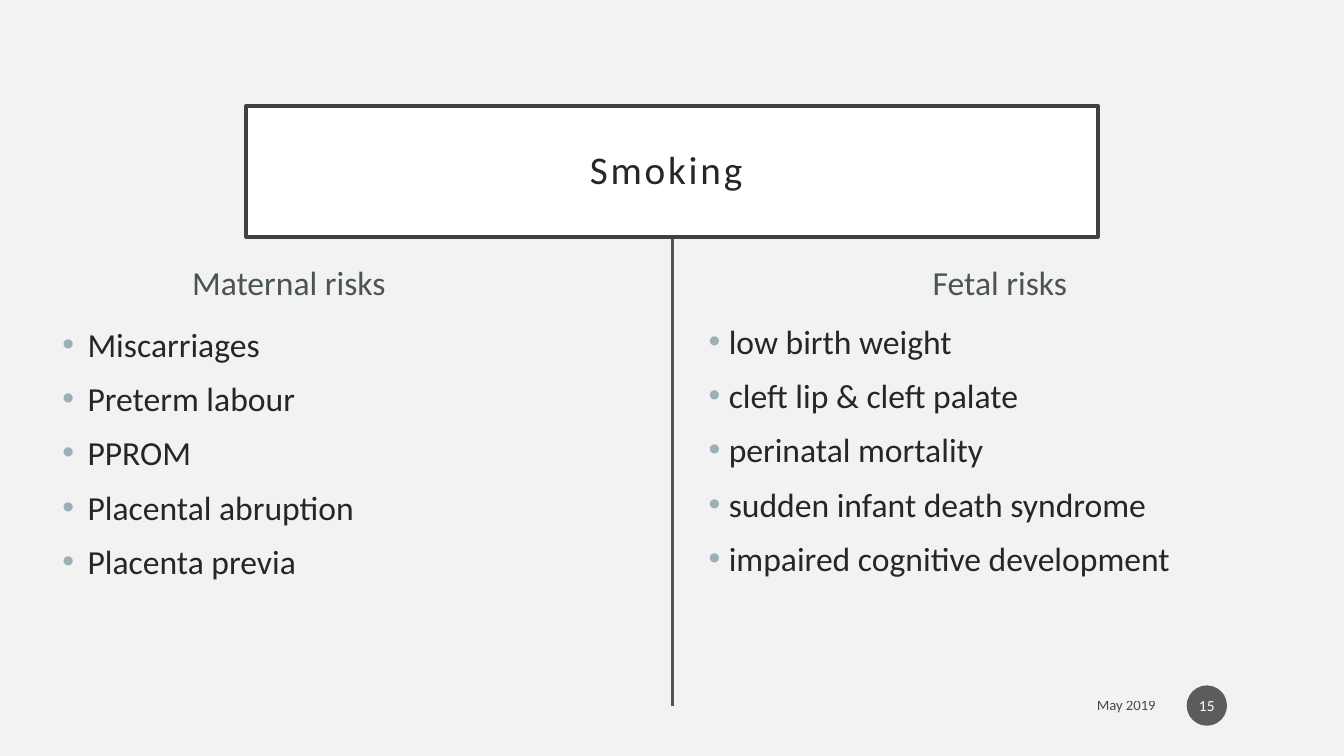
from lxml.etree import SubElement
from pptx import Presentation
from pptx.dml.color import RGBColor
from pptx.enum.shapes import MSO_CONNECTOR, MSO_SHAPE
from pptx.enum.text import MSO_ANCHOR, PP_ALIGN
from pptx.oxml.ns import qn
from pptx.util import Inches, Pt

COLORS = {
    "background": "F2F2F2",
    "white": "FFFFFF",
    "frame": "404040",
    "slate": "4A5356",
    "text": "262626",
    "bullet": "9BAFB5",
    "date": "000000",
    "badge": "1D1D1D",
}
COLUMNS = [
    ("Maternal risks", 0, (0.52, 3.16), 0.25,
     ["Miscarriages", "Preterm labour", "PPROM", "Placental abruption", "Placenta previa"]),
    ("Fetal risks ", 7.09, (6.93, 3.13), 0.2,
     ["low birth weight", "cleft lip & cleft palate", "perinatal mortality",
      "sudden infant death syndrome", "impaired cognitive development"]),
]


def write(para, text, size, color, align=PP_ALIGN.LEFT):
    span = para.add_run()
    span.text = text
    para.alignment = align
    para.font.name = "Calibri"
    para.font.size = Pt(size)
    para.font.color.rgb = RGBColor.from_string(COLORS[color])
    return span


def fade(element, percent):
    for color in element.iter(qn("a:srgbClr")):
        SubElement(color, qn("a:alpha"), val=str(percent * 1000))


deck = Presentation()
deck.slide_width, deck.slide_height = Inches(13.33), Inches(7.5)
page = deck.slides.add_slide(deck.slide_layouts[6])
page.background.fill.solid()
page.background.fill.fore_color.rgb = RGBColor.from_string(COLORS["background"])

divider = page.shapes.add_connector(
    MSO_CONNECTOR.STRAIGHT, Inches(6.67), Inches(1.85), Inches(6.67), Inches(7))
divider.line.color.rgb = RGBColor.from_string(COLORS["slate"])
divider.line.width = Pt(1.5)
SubElement(divider._element.spPr, qn("a:effectLst"))

title = page.shapes.add_shape(
    MSO_SHAPE.RECTANGLE, Inches(2.44), Inches(1.05), Inches(8.45), Inches(1.3))
title.shadow.inherit = False
title.fill.solid()
title.fill.fore_color.rgb = RGBColor.from_string(COLORS["white"])
title.line.color.rgb = RGBColor.from_string(COLORS["frame"])
title.line.width = Pt(2.5)
frame = title.text_frame
frame.margin_left = frame.margin_right = Inches(0.2)
frame.margin_top = frame.margin_bottom = Inches(0.2)
frame.vertical_anchor = MSO_ANCHOR.MIDDLE
para = frame.paragraphs[0]
para.line_spacing = 0.9
span = write(para, "Smoking ", 28, "text", PP_ALIGN.CENTER)
span._r.get_or_add_rPr().set("spc", "200")

for heading, heading_left, (list_left, list_top), indent, risks in COLUMNS:
    box = page.shapes.add_textbox(Inches(heading_left), Inches(2.45), Inches(5.73), Inches(0.7))
    box.text_frame.word_wrap = True
    box.text_frame.vertical_anchor = MSO_ANCHOR.MIDDLE
    write(box.text_frame.paragraphs[0], heading, 24, "slate", PP_ALIGN.CENTER)

    box = page.shapes.add_textbox(
        Inches(list_left), Inches(list_top), Inches(5.73), Inches(4.32))
    frame = box.text_frame
    frame.word_wrap = True
    for index, risk in enumerate(risks):
        para = frame.add_paragraph() if index else frame.paragraphs[0]
        if index:
            para.space_before = Pt(10)
        properties = para._p.get_or_add_pPr()
        properties.set("marL", str(Inches(indent)))
        properties.set("indent", str(-Inches(indent)))
        bullet_color = SubElement(properties, qn("a:buClr"))
        SubElement(bullet_color, qn("a:srgbClr"), val=COLORS["bullet"])
        SubElement(properties, qn("a:buFont"), typeface="Arial")
        SubElement(properties, qn("a:buChar"), char="•")
        write(para, risk, 24, "text")

box = page.shapes.add_textbox(Inches(8.55), Inches(6.82), Inches(3.01), Inches(0.35))
box.text_frame.word_wrap = True
box.text_frame.vertical_anchor = MSO_ANCHOR.MIDDLE
para = box.text_frame.paragraphs[0]
write(para, "May 2019", 10.5, "date", PP_ALIGN.RIGHT)
fade(para._p, 70)

badge = page.shapes.add_shape(
    MSO_SHAPE.OVAL, Inches(11.77), Inches(6.8), Inches(0.4), Inches(0.4))
badge.shadow.inherit = False
badge.fill.solid()
badge.fill.fore_color.rgb = RGBColor.from_string(COLORS["badge"])
fade(badge._element.spPr, 70)
badge.line.fill.background()
frame = badge.text_frame
frame.margin_left = frame.margin_right = Inches(0.02)
frame.vertical_anchor = MSO_ANCHOR.MIDDLE
write(frame.paragraphs[0], "15", 11, "white", PP_ALIGN.CENTER)

deck.save("out.pptx")
